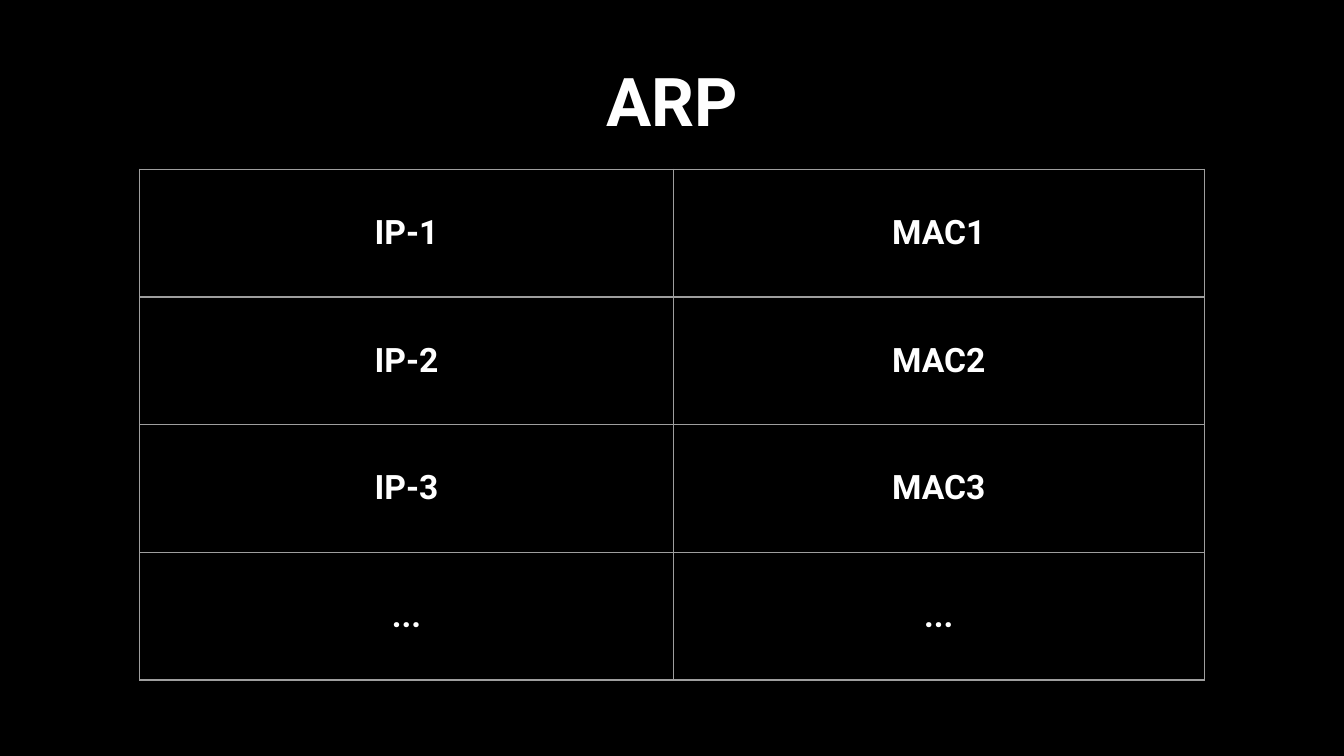
from lxml import etree
from pptx import Presentation
from pptx.dml.color import RGBColor
from pptx.enum import text
from pptx.oxml import ns
from pptx.util import Inches, Pt

COLOURS = {"background": "000000", "text": "FFFFFF", "border": "9E9E9E"}
FONT = "Roboto"
MARGIN = Inches(0.1)
ROWS = [("IP-1", "MAC1"), ("IP-2", "MAC2"), ("IP-3", "MAC3"), ("...", "...")]
COLUMN_WIDTHS = [3.97, 3.95]
ROW_HEIGHT = 0.95


def colour(name):
    return RGBColor.from_string(COLOURS[name])


def set_margins(holder):
    holder.margin_left = holder.margin_right = MARGIN
    holder.margin_top = holder.margin_bottom = MARGIN
    holder.vertical_anchor = text.MSO_ANCHOR.MIDDLE


def write(frame, words, size):
    """Put one centred bold run in the frame and return its paragraph."""
    para = frame.paragraphs[0]
    para.alignment = text.PP_ALIGN.CENTER
    span = para.add_run()
    span.text = words
    span.font.name = FONT
    span.font.size = Pt(size)
    span.font.bold = True
    span.font.color.rgb = colour("text")
    return para


def add_title(page, words):
    box = page.shapes.title
    box.left, box.top = Inches(3.36), Inches(0.3)
    box.width, box.height = Inches(3.28), Inches(0.8)
    frame = box.text_frame
    frame.word_wrap = True
    frame.auto_size = text.MSO_AUTO_SIZE.NONE
    set_margins(frame)
    para = write(frame, words, 36)
    para.line_spacing = 1.15
    para.space_before = Pt(0)
    para.space_after = Pt(16)


def set_borders(cell):
    # Border lines come before the fill in the cell properties
    properties = cell._tc.get_or_add_tcPr()
    for index, side in enumerate(("lnL", "lnR", "lnT", "lnB")):
        line = etree.Element(ns.qn(f"a:{side}"), w=str(Pt(0.75)))
        fill = etree.SubElement(line, ns.qn("a:solidFill"))
        etree.SubElement(fill, ns.qn("a:srgbClr"), val=COLOURS["border"])
        properties.insert(index, line)


def add_address_table(page):
    height = ROW_HEIGHT * len(ROWS)
    table = page.shapes.add_table(
        len(ROWS), len(COLUMN_WIDTHS), Inches(1.04), Inches(1.26),
        Inches(sum(COLUMN_WIDTHS)), Inches(height)).table
    table.first_row = table.horz_banding = False
    for column, width in zip(table.columns, COLUMN_WIDTHS):
        column.width = Inches(width)
    for row, entries in zip(table.rows, ROWS):
        row.height = Inches(ROW_HEIGHT)
        for cell, words in zip(row.cells, entries):
            cell.fill.background()
            set_margins(cell)
            set_borders(cell)
            write(cell.text_frame, words, 18)


def main():
    # Widescreen deck, 16:9
    deck = Presentation()
    deck.slide_width = Inches(10)
    deck.slide_height = Inches(10 * 9 / 16)

    # Title-only page on a black background
    page = deck.slides.add_slide(deck.slide_layouts[5])
    page.background.fill.solid()
    page.background.fill.fore_color.rgb = colour("background")

    # Content
    add_address_table(page)
    add_title(page, "ARP")
    deck.save("out.pptx")


if __name__ == "__main__":
    main()
